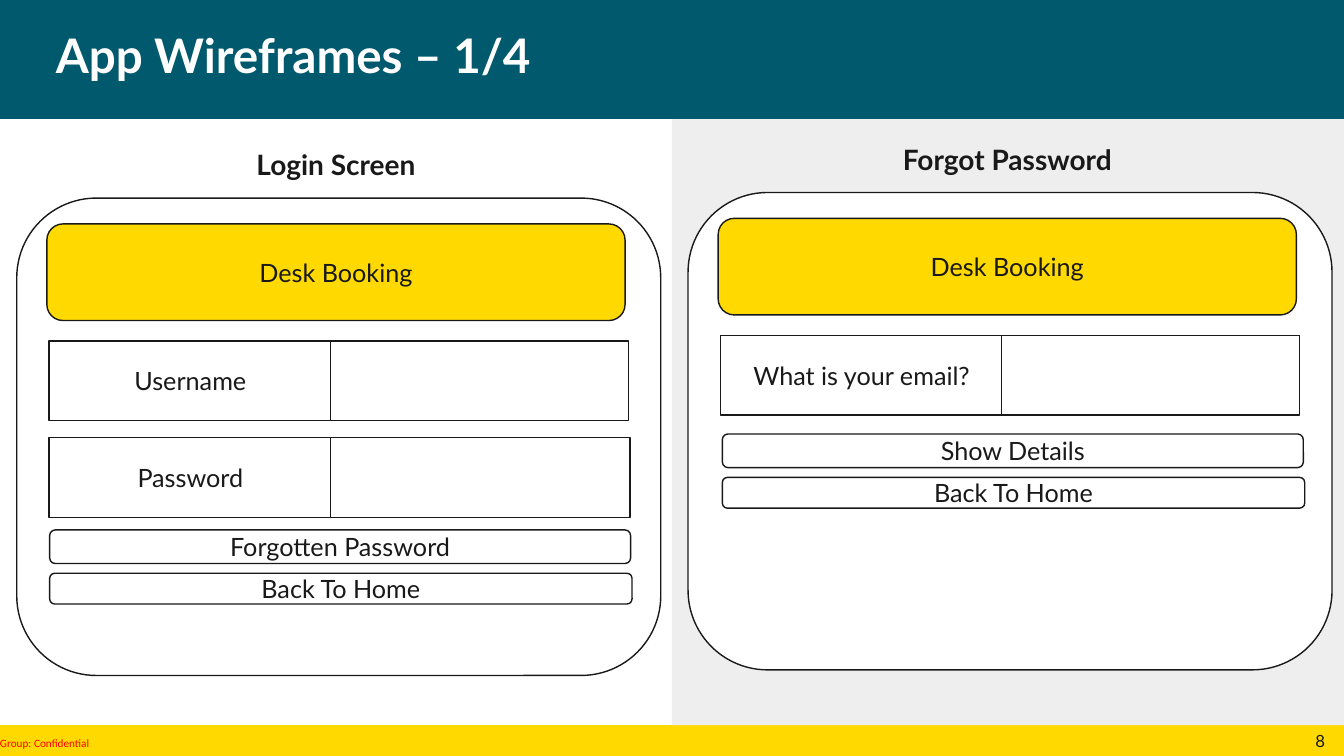
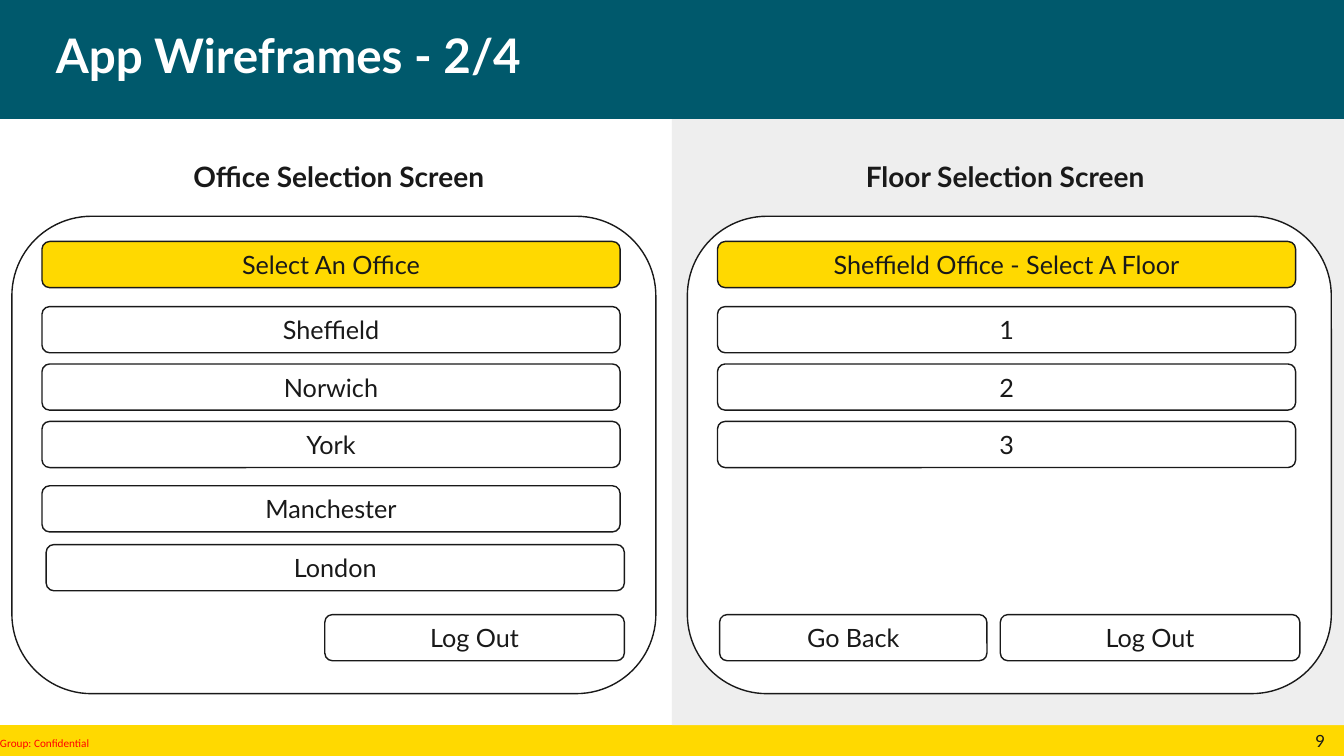
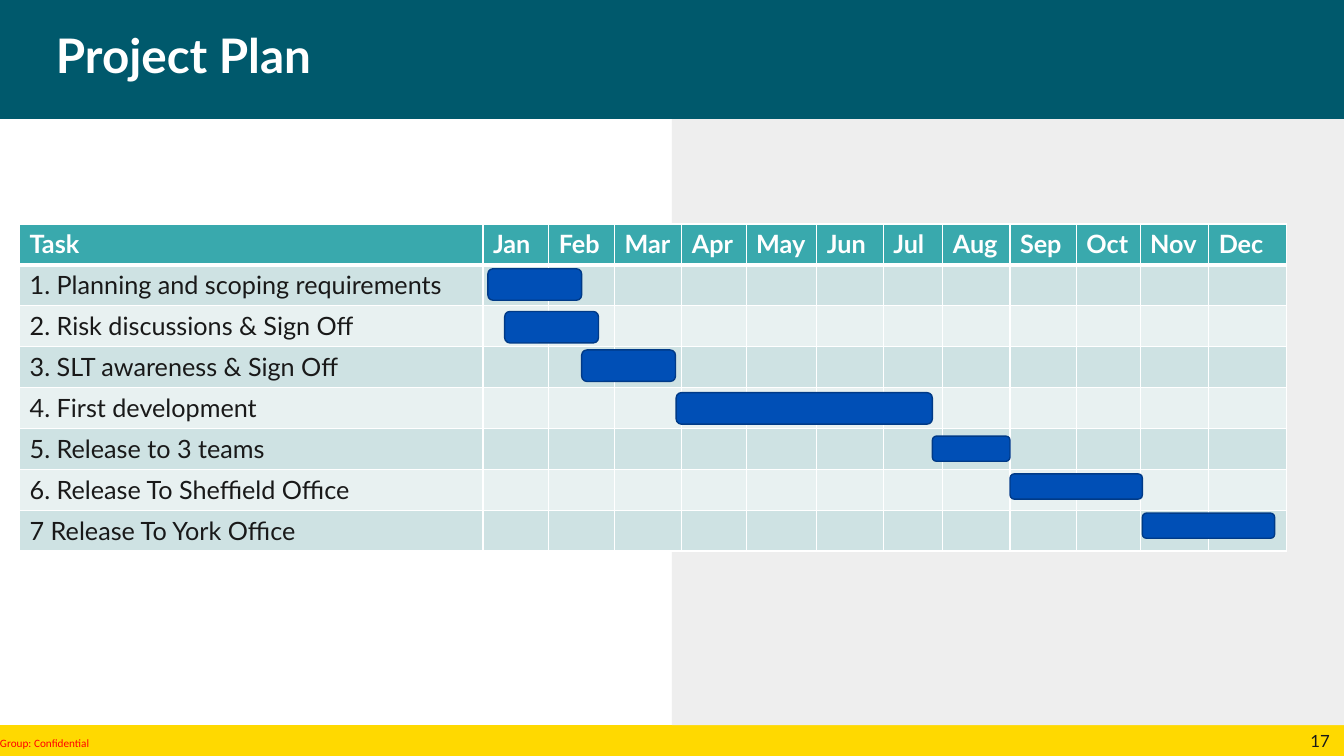
from pptx import Presentation
from pptx.dml.color import RGBColor
from pptx.enum.shapes import MSO_SHAPE as Kind
from pptx.enum.text import MSO_ANCHOR as Anchor, MSO_AUTO_SIZE as Fit, PP_ALIGN as Align
from pptx.util import Pt
from lxml.etree import SubElement

# Colours
TEAL = RGBColor(0x00, 0x59, 0x6C)
GOLD = RGBColor(0xFF, 0xD9, 0x00)
GREY = RGBColor(0xEE, 0xEE, 0xEE)
INK = RGBColor(0x19, 0x19, 0x19)
WHITE = RGBColor(0xFF, 0xFF, 0xFF)
RED = RGBColor(0xFF, 0x00, 0x00)
AQUA = RGBColor(0x39, 0xA9, 0xAD)
MIST = RGBColor(0xCE, 0xE2, 0xE3)
PALE = RGBColor(0xE8, 0xF1, 0xF1)
BLUE = RGBColor(0x00, 0x4F, 0xB6)
NAVY = RGBColor(0x00, 0x3A, 0x87)

# Text styles: frame, paragraph and font values
FLUSH = {"margin_left": 0, "margin_right": 0, "margin_top": Pt(3.6),
         "margin_bottom": Pt(3.6), "word_wrap": True, "auto_size": Fit.NONE}
TITLE = (FLUSH | {"vertical_anchor": Anchor.MIDDLE},
         {"alignment": Align.LEFT, "line_spacing": 0.9, "space_before": Pt(0)},
         {"name": "Lato", "size": Pt(34), "bold": True}, WHITE)
HEAD = (FLUSH | {"vertical_anchor": Anchor.TOP},
        {"alignment": Align.CENTER, "line_spacing": 0.9, "space_before": Pt(0)},
        {"name": "Lato", "size": Pt(20), "bold": True}, INK)
LABEL = ({"vertical_anchor": Anchor.MIDDLE, "word_wrap": True},
         {"alignment": Align.CENTER}, {"name": "Lato", "size": Pt(18)}, INK)
PAGE = (FLUSH | {"margin_left": Pt(6), "vertical_anchor": Anchor.MIDDLE},
        {"alignment": Align.CENTER}, {"name": "Lato", "size": Pt(12)}, INK)
NOTE = (FLUSH | {"margin_top": 0, "margin_bottom": 0, "vertical_anchor": Anchor.MIDDLE},
        {"alignment": Align.LEFT}, {"name": "Calibri", "size": Pt(8)}, RED)
CELL = ({}, {"alignment": Align.LEFT}, {"name": "Lato", "size": Pt(18), "bold": False}, INK)
TOP = ({}, {"alignment": Align.LEFT}, {"name": "Lato", "size": Pt(18), "bold": True}, WHITE)


def write(frame, text, style):
    frame.text = text
    para = frame.paragraphs[0]
    font = para.runs[0].font
    for part, values in zip((frame, para, font), style):
        for key, value in values.items():
            setattr(part, key, value)
    font.color.rgb = style[3]


def draw(slide, kind, place, fill, line=None, text=""):
    shape = slide.shapes.add_shape(kind, *map(Pt, place))
    shape.shadow.inherit = False
    shape.fill.solid()
    shape.fill.fore_color.rgb = fill
    if line is None:
        shape.line.fill.background()
    else:
        shape.line.color.rgb = line
        shape.line.width = Pt(1)
    if text:
        write(shape.text_frame, text, LABEL)
    return shape


deck = Presentation()
deck.slide_width, deck.slide_height = Pt(960), Pt(540)

# Slides with title and page number
PAGES = [("App Wireframes – 1/4", "8", 4), ("App Wireframes - 2/4", "9", 4),
         ("Project Plan", "17", 5)]
slides = []
for title, page, layout in PAGES:
    slide = deck.slides.add_slide(deck.slide_layouts[layout])
    slides.append(slide)
    head = slide.shapes.title
    head.left, head.top, head.width, head.height = map(Pt, (40, -1, 879, 85))
    write(head.text_frame, title, TITLE)
    mark = slide.shapes.add_textbox(*map(Pt, (920, 518, 40, 22)))
    write(mark.text_frame, page, PAGE)

# Bands and footer, moved to the master
first = slides[0]
note = first.shapes.add_textbox(*map(Pt, (0, 522, 81, 18)))
write(note.text_frame, "Group: Confidential", NOTE)
shared = [draw(first, Kind.RECTANGLE, (0, 518, 960, 22), GOLD),
          draw(first, Kind.RECTANGLE, (0, 0, 960, 85), TEAL),
          draw(first, Kind.RECTANGLE, (480, 85, 480, 433), GREY), note]
tree = deck.slide_master.shapes.element
for i, shape in enumerate(shared):
    shape.element.xpath(".//p:cNvPr")[0].set("id", str(100 + i))
    tree.insert(2 + i, shape.element)

# Wireframe screens: slide, placeholder, heading, heading place, panel place,
# then the parts with places relative to the panel
ROUND, RECT = Kind.ROUNDED_RECTANGLE, Kind.RECTANGLE
BAR = ("Desk Booking", ROUND, 21.5, 18.5, 413, 69)
SCREENS = [
    (0, 1, "Login Screen", (39, 104.5), (12, 141.5), [
        BAR,
        ("Username", RECT, 23, 102, 202, 57), ("", RECT, 224, 102, 213, 57),
        ("Password", RECT, 23, 171, 202, 57), ("", RECT, 224, 171, 214, 57),
        ("Forgotten Password", ROUND, 23.5, 237, 415, 24),
        ("Back To Home", ROUND, 23.5, 268, 416, 22)]),
    (0, 3, "Forgot Password", (518.5, 101), (491.5, 137.5), [
        BAR,
        ("What is your email?", RECT, 23, 102, 202, 57), ("", RECT, 224, 102, 213, 57),
        ("Show Details", ROUND, 24.5, 172.5, 415, 24),
        ("Back To Home", ROUND, 24.5, 203.5, 416, 22)]),
    (1, 1, "Office Selection Screen", (41, 113), (8.5, 154.5), [
        ("Select An Office", ROUND, 21.5, 18, 413, 33),
        ("Sheffield", ROUND, 21.5, 64.5, 413, 33),
        ("Norwich", ROUND, 21.5, 105.5, 413, 33),
        ("York", ROUND, 21.5, 146.5, 413, 33),
        ("Manchester", ROUND, 21.5, 192.5, 413, 33),
        ("London", ROUND, 24.5, 234.5, 413, 33),
        ("Log Out", ROUND, 223.5, 284.5, 214, 33)]),
    (1, 3, "Floor Selection Screen", (517, 113), (491, 154.5), [
        ("Sheffield Office - Select A Floor", ROUND, 21.5, 18, 413, 33),
        ("1", ROUND, 21.5, 64.5, 413, 33),
        ("2", ROUND, 21.5, 105.5, 413, 33),
        ("3", ROUND, 21.5, 146.5, 413, 33),
        ("Go Back", ROUND, 23, 284.5, 191, 33),
        ("Log Out", ROUND, 223.5, 284.5, 214, 33)]),
]
for at, slot, name, spot, (left, top), parts in SCREENS:
    slide = slides[at]
    head = slide.placeholders[slot]
    head.left, head.top, head.width, head.height = map(Pt, (*spot, 402, 41))
    write(head.text_frame, name, HEAD)
    spare = slide.placeholders[slot + 1].element
    spare.getparent().remove(spare)
    draw(slide, ROUND, (left, top, 460, 341), WHITE, INK)
    for i, (text, kind, x, y, w, h) in enumerate(parts):
        draw(slide, kind, (left + x, top + y, w, h), WHITE if i else GOLD, INK, text)

# Plan table
HEADS = ["Task", "Jan", "Feb", "Mar", "Apr", "May", "Jun",
         "Jul", "Aug", "Sep", "Oct", "Nov", "Dec"]
WIDTHS = [331, 47, 47, 48, 46, 50.5, 47.5, 42.5, 48, 47.5, 45.5, 49, 55.5]
TASKS = ["1. Planning and scoping requirements", "2. Risk discussions & Sign Off",
         "3. SLT awareness & Sign Off", "4. First development",
         "5. Release to 3 teams", "6. Release To Sheffield Office",
         "7 Release To York Office"]
plan = slides[2]
rows = [HEADS] + [[task] + [""] * 12 for task in TASKS]
grid = plan.shapes.add_table(len(rows), len(HEADS), Pt(14), Pt(160),
                             Pt(sum(WIDTHS)), Pt(29.2 * len(rows))).table
for col, width in zip(grid.columns, WIDTHS):
    col.width = Pt(width)
NS = "{http://schemas.openxmlformats.org/drawingml/2006/main}"
for r, row in enumerate(rows):
    grid.rows[r].height = Pt(29.2)
    for c, text in enumerate(row):
        cell = grid.cell(r, c)
        if text:
            write(cell.text_frame, text, CELL if r else TOP)
        # White borders, thick under the header row
        props = cell._tc.get_or_add_tcPr()
        for side in "LRTB":
            thick = (r, side) in ((0, "B"), (1, "T"))
            edge = SubElement(props, f"{NS}ln{side}", w=str(Pt(3 if thick else 1)))
            paint = SubElement(edge, NS + "solidFill")
            SubElement(paint, NS + "srgbClr", val=str(WHITE))
        cell.fill.solid()
        cell.fill.fore_color.rgb = AQUA if r == 0 else MIST if r % 2 else PALE

# Plan bars
BARS = [(348.5, 192, 67, 22.5), (360.5, 222.5, 67, 22.5), (415.5, 250, 67, 22.5),
        (483, 280.5, 183, 22.5), (666, 311.5, 55.5, 18), (721.5, 338.5, 94.5, 18),
        (816, 366.5, 94.5, 18)]
for place in BARS:
    draw(plan, ROUND, place, BLUE, NAVY)

deck.save("out.pptx")
